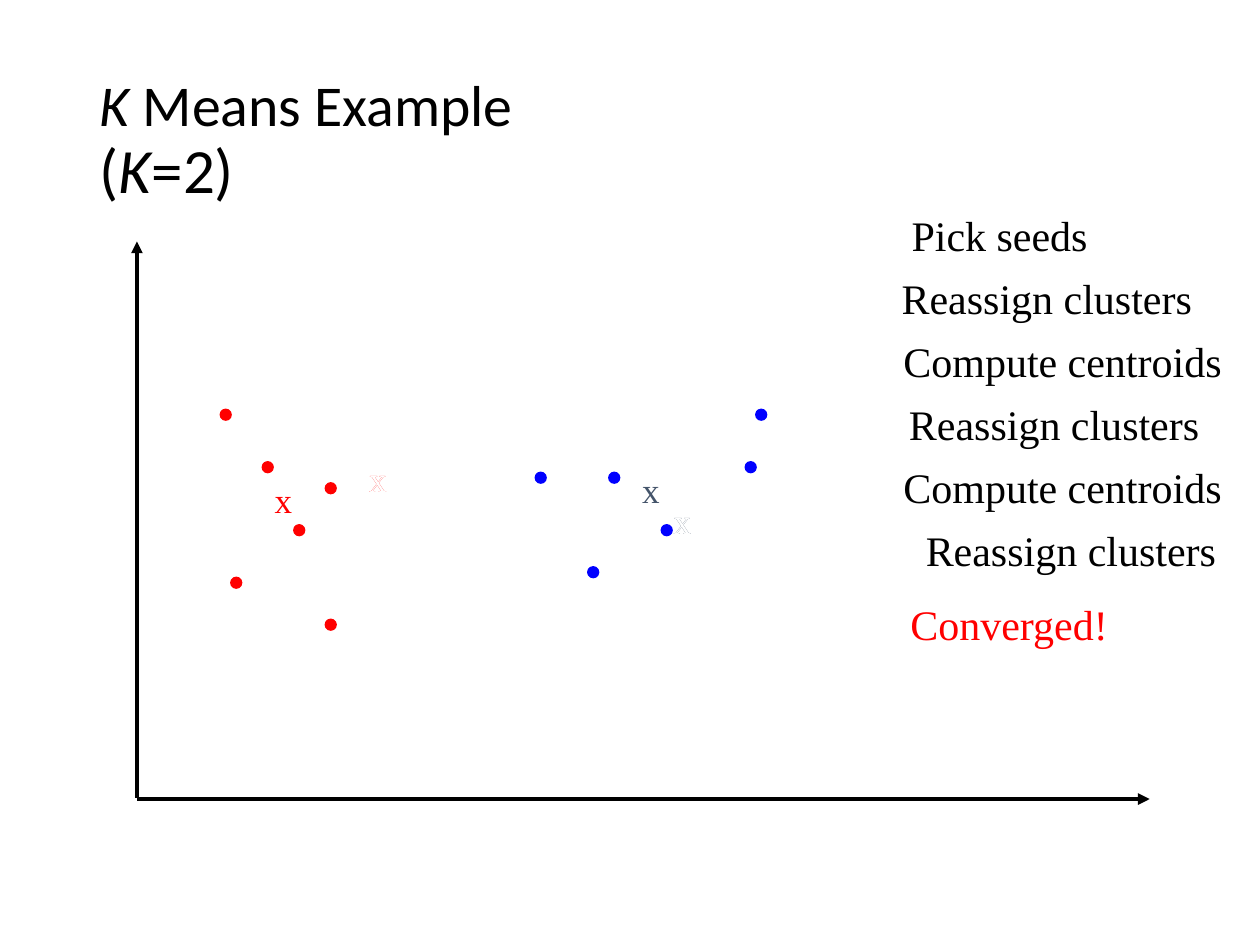
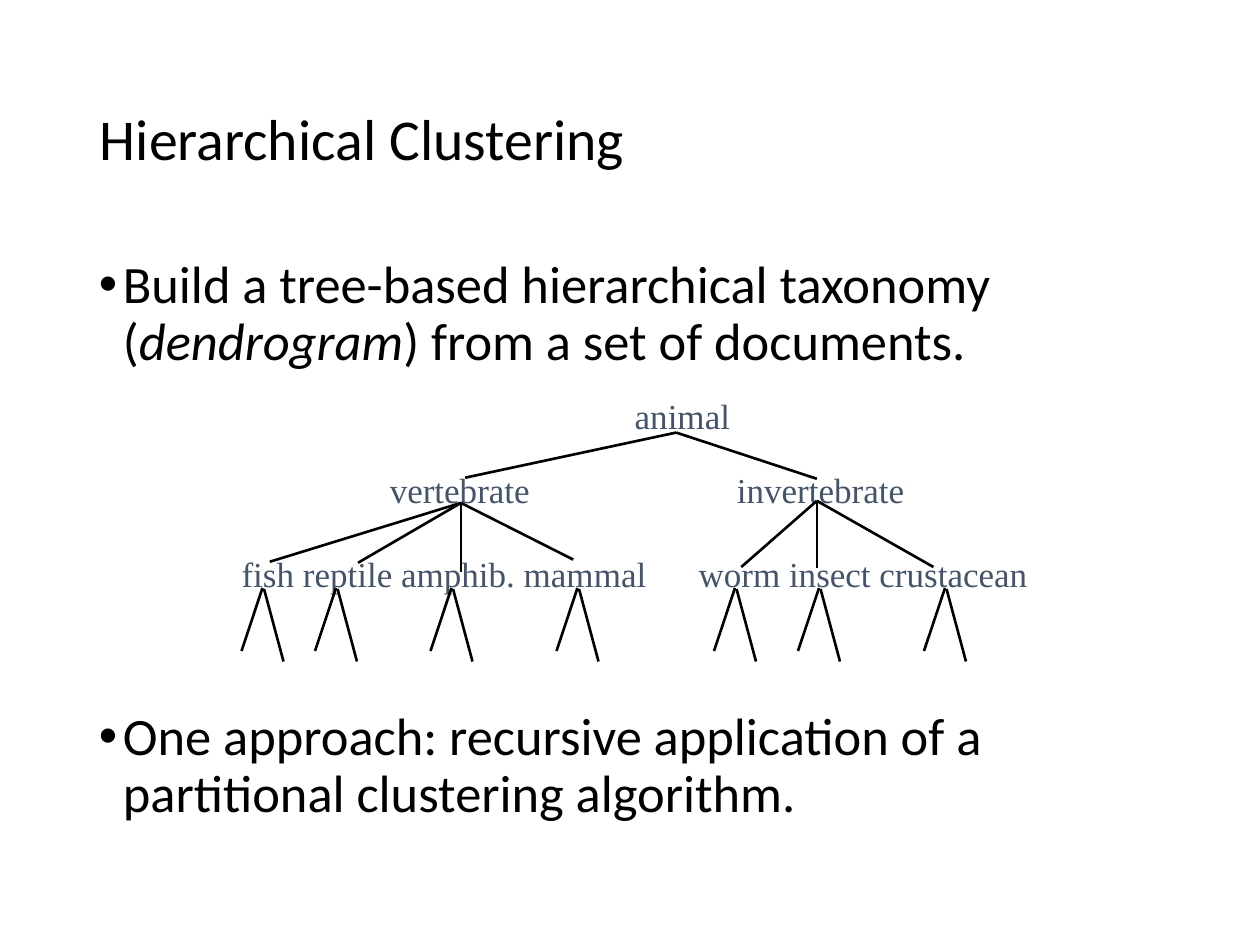
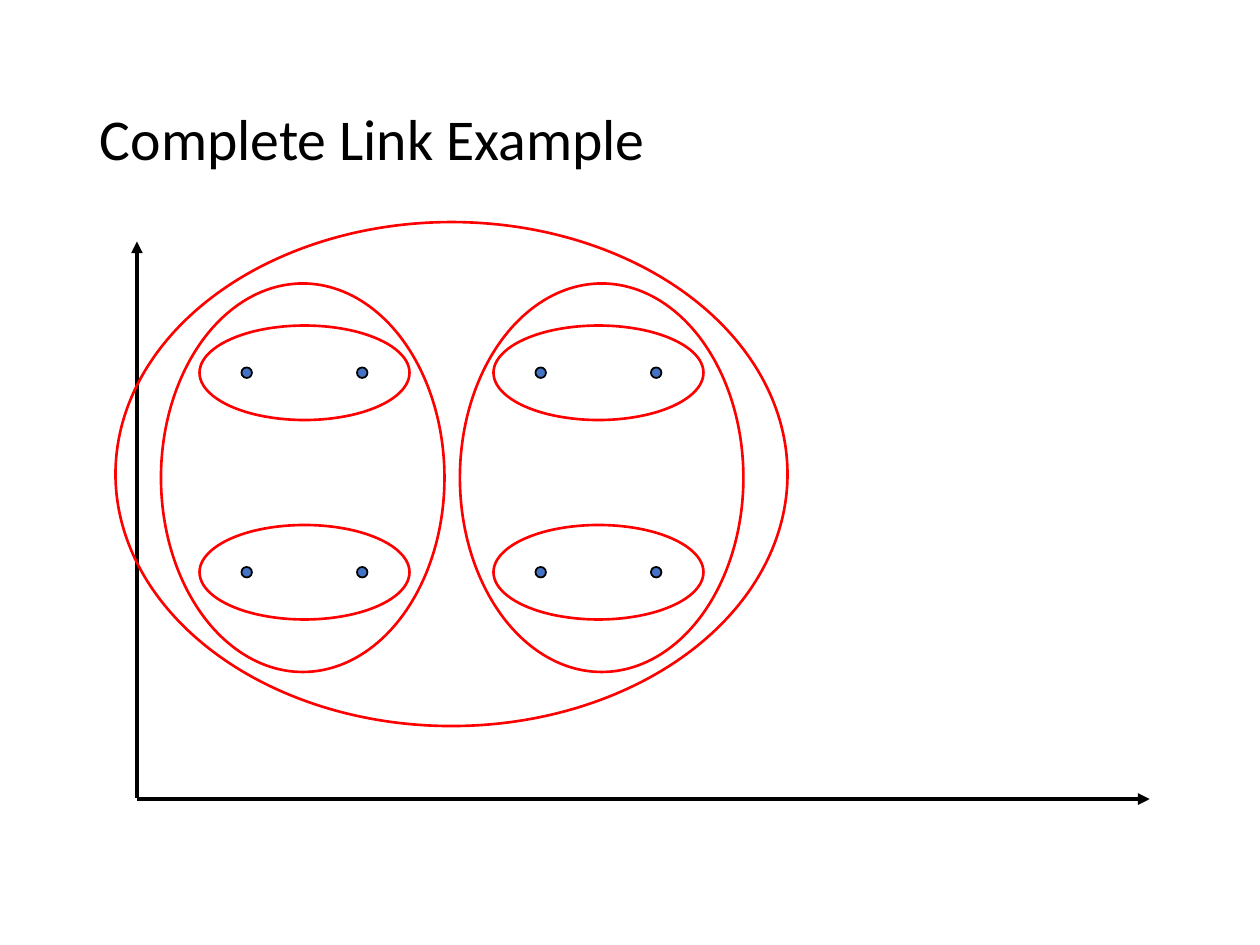
from itertools import product
from lxml.etree import SubElement as Sub
from pptx import Presentation
from pptx.dml.color import RGBColor as Rgb
from pptx.enum.shapes import MSO_CONNECTOR as Link, MSO_SHAPE as Kind
from pptx.enum.text import MSO_ANCHOR as Anchor, PP_ALIGN as Align
from pptx.oxml.ns import qn
from pptx.util import Inches, Pt


class Theme:
    black, white = Rgb(0, 0, 0), Rgb(255, 255, 255)
    red, blue = Rgb(255, 0, 0), Rgb(0, 0, 255)
    slate, steel = Rgb(0x44, 0x54, 0x6A), Rgb(0x44, 0x72, 0xC4)
    sans, serif = "Calibri", "Times New Roman"
    title, second, body, step, mark = 33, 36, 30, 24, 20
    axis, edge, rim = 2.25, 1.5, 1


def write(para, text, face, size, color):
    """Add text to a paragraph; words between asterisks are italic."""
    for i, bit in enumerate(text.split("*")):
        if bit:
            run = para.add_run()
            run.text = bit
            font = run.font
            font.name, font.size, font.italic = face, Pt(size), i % 2 == 1
            font.color.rgb = color


# Grid of 120 columns by 90 rows; all places below are in grid cells
deck = Presentation()
deck.slide_width, deck.slide_height = Inches(10), Inches(7.5)
cell = deck.slide_width / 120


def grid(*spots):
    return [round(n * cell) for n in spots]


# Pages with their titles
pages = []
for name in ("*K* Means Example\n(*K*=2)", "Hierarchical Clustering",
             "Complete Link Example"):
    page = deck.slides.add_slide(deck.slide_layouts[6])
    pages.append(page)
    frame = page.shapes.add_textbox(*grid(8.33, 4.8, 103.5, 17.4)).text_frame
    frame.word_wrap = True
    frame.vertical_anchor = Anchor.MIDDLE
    para = frame.paragraphs[0]
    para.line_spacing = 0.9
    for i, row in enumerate(name.split("\n")):
        if i:
            para.add_line_break()
        write(para, row, Theme.sans, Theme.second if i else Theme.title, Theme.black)
means, tree, link = pages

labels = []  # page, text, box, size, colour
lines = []   # page, ends, width, arrow
ovals = []   # page, box, fill, line colour, line width

# Axes of both plots
for page in (means, link):
    lines += [(page, (13.04, 76, 13.04, 23), Theme.axis, True),
              (page, (13.04, 76.1, 109.5, 76.1), Theme.axis, True)]

# K means: steps of the algorithm
steps = [("Pick seeds", 84.6, 21.2), ("Reassign clusters", 83.7, 32),
         ("Compute centroids", 83.9, 34.6), ("Reassign clusters", 84.4, 32),
         ("Compute centroids", 83.9, 34.6), ("Reassign clusters", 86, 32)]
for i, (text, x, wide) in enumerate(steps):
    labels.append((means, text, (x, 19.37 + 6 * i, wide, 6), Theme.step, Theme.black))
labels.append((means, "Converged!", (84.5, 56.4, 23.2, 6), Theme.step, Theme.red))

# K means: centroids, the first pair covered in white
for x, y, color in ((33, 43, Theme.red), (62, 47, Theme.slate),
                    (33, 43, Theme.white), (62, 47, Theme.white),
                    (24, 45, Theme.red), (59, 44, Theme.slate)):
    labels.append((means, "x", (x, y, 6, 5.25), Theme.mark, color))

# K means: points of the two clusters
groups = {Theme.red: [(21, 39), (25, 44), (31, 46), (28, 50), (31, 59), (22, 55)],
          Theme.blue: [(63, 50), (56, 54), (71, 44), (58, 45), (72, 39), (51, 45)]}
for color, dots in groups.items():
    ovals += [(means, (x, y, 1, 1), color, color, Theme.rim) for x, y in dots]

# Hierarchy: bullets above and below the tree
frame = tree.shapes.add_textbox(*grid(8.25, 24, 103.5, 57.1)).text_frame
frame.word_wrap = True
notes = ["Build a tree-based hierarchical taxonomy (*dendrogram*) from a set of documents.",
         "One approach: recursive application of a partitional clustering algorithm."]
for i, text in enumerate(notes):
    para = frame.add_paragraph() if i else frame.paragraphs[0]
    para.line_spacing = 0.9
    if i:
        para.space_before = Pt(193.5)
    props = para._p.get_or_add_pPr()
    props.set("marL", str(Inches(0.19)))
    props.set("indent", str(-Inches(0.19)))
    Sub(props, qn("a:buFont"), typeface="Arial")
    Sub(props, qn("a:buChar"), char="•")
    write(para, text, Theme.sans, Theme.body, Theme.black)

# Hierarchy: names in the tree
for text, x, y, wide in (("animal", 56, 37, 18),
                         ("vertebrate", 34.8, 44, 18),
                         ("invertebrate", 68, 44, 20.3),
                         ("fish reptile amphib. mammal", 20.8, 52, 43),
                         ("worm insect crustacean", 64.2, 52, 36)):
    labels.append((tree, text, (x, y, wide, 5.25), Theme.mark, Theme.slate))

# Hierarchy: branches from each parent, then a pair under each leaf
forks = {(64.4, 41.2): [(44.3, 45.5), (77.8, 45.6)],
         (43.9, 47.9): [(25.7, 53.5), (34.1, 53.6), (43.9, 54.5), (54.6, 53.3)],
         (77.8, 47.7): [(70.6, 54), (77.8, 54.1), (88.9, 54)]}
for top, ends in forks.items():
    lines += [(tree, top + end, Theme.edge, False) for end in ends]
for x in (25, 32, 43, 55, 70, 78, 90):
    lines += [(tree, (x, 56, x - 2, 62), Theme.edge, False),
              (tree, (x + 0.15, 56.1, x + 2, 63), Theme.edge, False)]

# Complete link: points, pairs, halves and the whole
for x, y in product((23, 34, 51, 62), (35, 54)):
    ovals.append((link, (x, y, 1, 1), Theme.steel, Theme.black, Theme.rim))
rings = [(x, y, 20, 9) for x, y in product((19, 47), (31, 50))]
rings += [(x, 27, 27, 37) for x in (15.33, 43.8)]
rings.append((11, 21.15, 64, 48))
ovals += [(link, ring, None, Theme.red, Theme.edge) for ring in rings]

# Draw labels
for page, text, box, size, color in labels:
    frame = page.shapes.add_textbox(*grid(*box)).text_frame
    frame.word_wrap = False
    para = frame.paragraphs[0]
    para.alignment = Align.CENTER
    write(para, text, Theme.serif, size, color)

# Draw lines
for page, ends, width, arrow in lines:
    line = page.shapes.add_connector(Link.STRAIGHT, *grid(*ends))
    line.line.color.rgb = Theme.black
    line.line.width = Pt(width)
    if arrow:
        Sub(line.line._get_or_add_ln(), qn("a:tailEnd"), type="triangle")
    Sub(line._element.spPr, qn("a:effectLst"))

# Draw ovals
for page, box, fill, color, width in ovals:
    oval = page.shapes.add_shape(Kind.OVAL, *grid(*box))
    oval.shadow.inherit = False
    if fill is None:
        oval.fill.background()
    else:
        oval.fill.solid()
        oval.fill.fore_color.rgb = fill
    oval.line.color.rgb = color
    oval.line.width = Pt(width)

deck.save("out.pptx")
